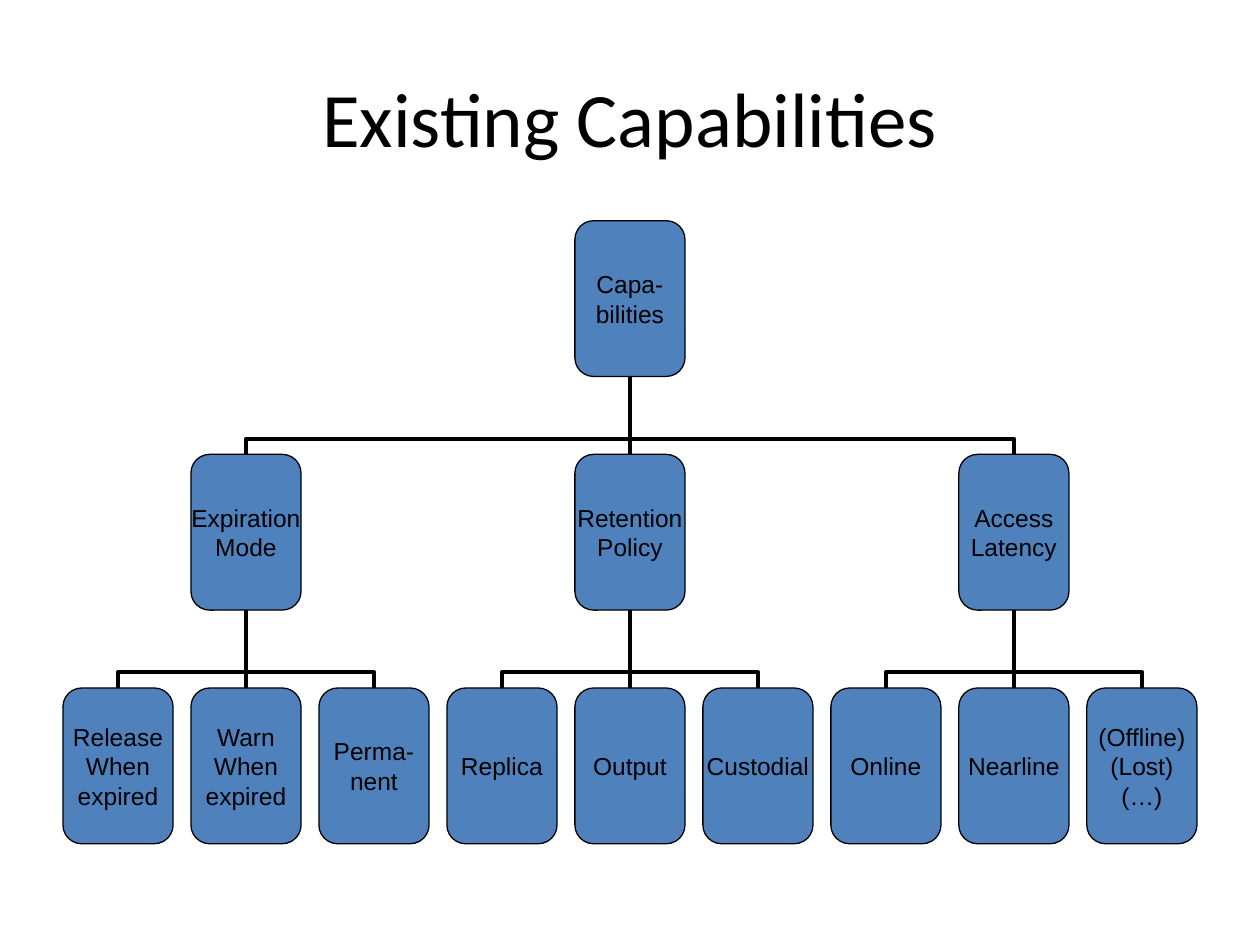
import pptx
import pptx.dml.color
import pptx.enum.shapes
import pptx.enum.text
import pptx.oxml.ns
import pptx.util
from lxml import etree
from pptx.util import Cm

BOX_WIDTH, BOX_HEIGHT = 2.22, 3.14
LEFT, TOP = 1.27, 4.45
COLUMN_STEP, ROW_STEP = 2.58, 4.71
ROOT = "Capa-\nbilities"
BRANCHES = {
    "Expiration\nMode": ["Release\nWhen\nexpired", "Warn\nWhen\nexpired", "Perma-\nnent"],
    "Retention\nPolicy": ["Replica", "Output", "Custodial"],
    "Access\nLatency": ["Online", "Nearline", "(Offline)\n(Lost)\n(…)"],
}


def color(value):
    """Return the colour for a hex string."""
    return pptx.dml.color.RGBColor.from_string(value)


def format_text(text_frame, font_name, size):
    """Centre the text and set its font."""
    text_frame.vertical_anchor = pptx.enum.text.MSO_ANCHOR.MIDDLE
    for paragraph in text_frame.paragraphs:
        paragraph.alignment = pptx.enum.text.PP_ALIGN.CENTER
        for run in paragraph.runs:
            run.font.name = font_name
            run.font.size = pptx.util.Pt(size)
            run.font.color.rgb = color("000000")


def set_title(slide, text):
    """Fill and place the title placeholder."""
    title = slide.shapes.title
    title.left, title.top, title.width, title.height = Cm(1.27), Cm(0.76), Cm(22.86), Cm(3.18)
    title.text_frame.text = text
    format_text(title.text_frame, "Calibri", 44)


def add_box(slide, text, column, row):
    """Add a rounded box at a grid position."""
    shape = slide.shapes.add_shape(
        pptx.enum.shapes.MSO_SHAPE.ROUNDED_RECTANGLE,
        Cm(LEFT + column * COLUMN_STEP), Cm(TOP + row * ROW_STEP),
        Cm(BOX_WIDTH), Cm(BOX_HEIGHT))
    shape.adjustments[0] = 0.17
    shape.shadow.inherit = False
    shape.fill.solid()
    shape.fill.fore_color.rgb = color("4F81BD")
    shape.line.color.rgb = color("000000")
    shape.line.width = pptx.util.Pt(0.75)
    text_frame = shape.text_frame
    text_frame.margin_left = text_frame.margin_right = 0
    text_frame.margin_top = text_frame.margin_bottom = 0
    text_frame.word_wrap = False
    text_frame.text = text
    format_text(text_frame, "Arial", 14)
    return shape


def bend_vertically(connector, offset, rise):
    """Turn an elbow so that it leaves the child upwards."""
    center_x = connector.left + connector.width // 2
    center_y = connector.top + connector.height // 2
    connector.width, connector.height = rise, abs(offset)
    connector.left = center_x - rise // 2
    connector.top = center_y - abs(offset) // 2
    properties = connector.element.spPr
    transform = properties.find(pptx.oxml.ns.qn("a:xfrm"))
    transform.set("rot", str((270 if offset > 0 else 90) * 60000))
    transform.set("flipH", "0" if offset > 0 else "1")
    transform.set("flipV", "1")
    guides = properties.find(pptx.oxml.ns.qn("a:prstGeom")).get_or_add_avLst()
    etree.SubElement(guides, pptx.oxml.ns.qn("a:gd"), name="adj1", fmla="val 20200")


def connect(slide, child, parent):
    """Join the top of a child to the bottom of its parent."""
    offset = child.left - parent.left
    straight = abs(offset) < Cm(0.1)
    kinds = pptx.enum.shapes.MSO_CONNECTOR
    connector = slide.shapes.add_connector(
        kinds.STRAIGHT if straight else kinds.ELBOW, 0, 0, 0, 0)
    connector.begin_connect(child, 0)
    connector.end_connect(parent, 2)
    if not straight:
        bend_vertically(connector, offset, child.top - parent.top - parent.height)
    connector.line.color.rgb = color("000000")
    connector.line.width = pptx.util.Pt(2.25)
    etree.SubElement(connector.element.spPr, pptx.oxml.ns.qn("a:effectLst"))


def main():
    """Build the capability tree and save it."""
    presentation = pptx.Presentation()
    presentation.slide_width, presentation.slide_height = Cm(25.4), Cm(19.05)
    slide = presentation.slides.add_slide(presentation.slide_layouts[5])
    set_title(slide, "Existing Capabilities")
    root = add_box(slide, ROOT, 4, 0)
    for group, (name, leaves) in enumerate(BRANCHES.items()):
        branch = add_box(slide, name, 3 * group + 1, 1)
        connect(slide, branch, root)
        for index, leaf in enumerate(leaves):
            connect(slide, add_box(slide, leaf, 3 * group + index, 2), branch)
    presentation.save("out.pptx")


if __name__ == "__main__":
    main()
